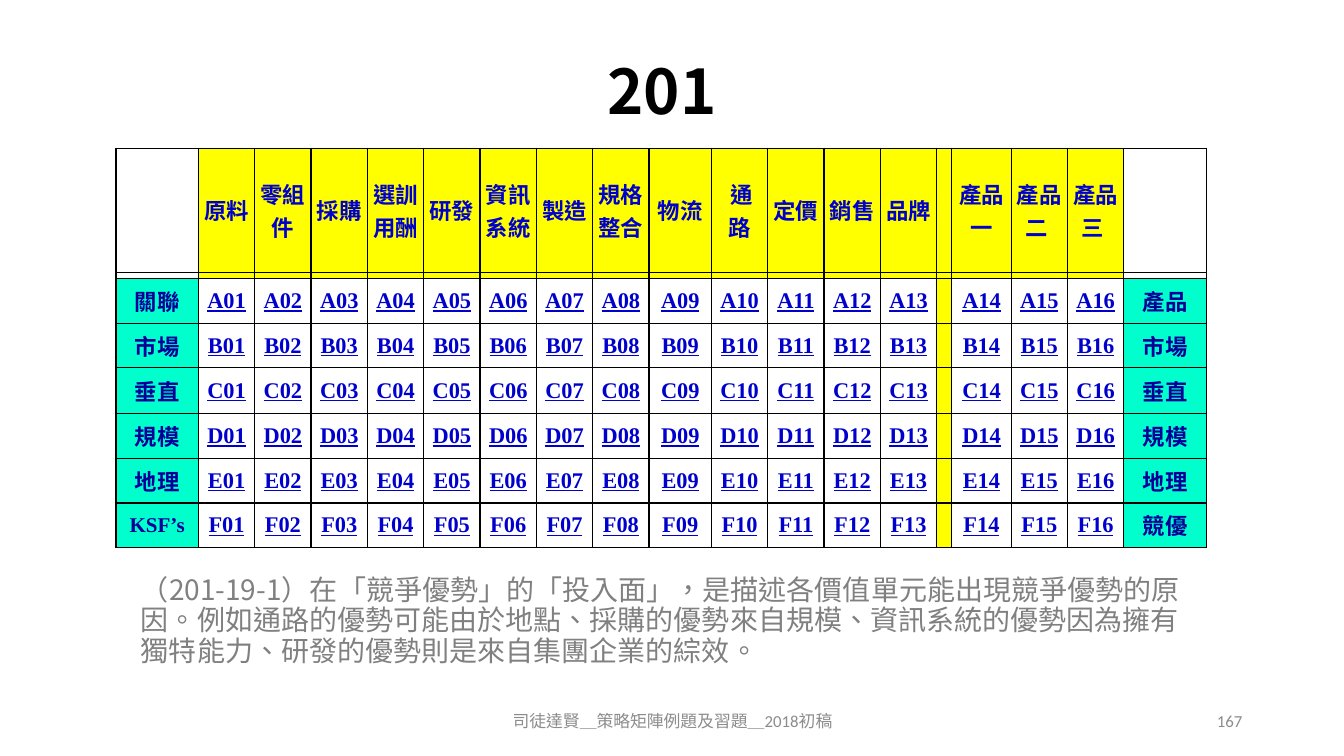
"""Build the value-unit by advantage matrix slide, 201."""
from lxml.etree import SubElement
from pptx import Presentation
from pptx.dml.color import RGBColor
from pptx.enum.text import MSO_ANCHOR as Anchor, PP_ALIGN as Align
from pptx.oxml.ns import qn
from pptx.util import Inches, Pt

COLORS = {"black": "000000", "yellow": "FFFF00", "mint": "00FFCC", "link": "0000CC",
          "label": "000099", "body": "808080", "footer": "8C8C8C"}
CJK_FONT = "Noto Sans CJK SC"


def add_run(paragraph, text, size, font, color, bold=False, underline=None):
    run = paragraph.add_run()
    run.text = text
    run.font.size = Pt(size)
    run.font.bold = bold
    run.font.underline = underline
    run.font.color.rgb = RGBColor.from_string(COLORS[color])
    run.font.name = font
    run.font._element.set("lang", "zh-TW")
    SubElement(run.font._element, qn("a:ea"), typeface=CJK_FONT)


def add_text(slide, box, text, size, font, color, align, anchor, spacing=1.0, bold=False):
    shape = slide.shapes.add_textbox(*[Inches(length) for length in box])
    frame = shape.text_frame
    frame.word_wrap = True
    frame.vertical_anchor = anchor
    paragraph = frame.paragraphs[0]
    paragraph.alignment = align
    paragraph.line_spacing = spacing
    add_run(paragraph, text, size, font, color, bold)


presentation = Presentation()
presentation.slide_width = Inches(13.33)
presentation.slide_height = Inches(7.5)
slide = presentation.slides.add_slide(presentation.slide_layouts[6])

add_text(slide, (0.92, 0.4, 11.29, 1.07), "201", 44, CJK_FONT, "black",
         Align.CENTER, Anchor.MIDDLE, 0.9, True)

headers = ["", "原料", "零組件", "採購", "選訓用酬", "研發", "資訊系統 ", "製造", "規格整合", "物流",
           " 通路", "定價", "銷售", "品牌", "", "產品一", "產品二 ", "產品三 ", ""]
advantages = [("關聯", "產品"), ("市場", "市場"), ("垂直", "垂直"),
              ("規模", "規模"), ("地理", "地理"), ("KSF’s", "競優")]
gap_column = 14
last_column = len(headers) - 1

rows = [headers, [""] * len(headers)]
for letter, (left_label, right_label) in zip("ABCDEF", advantages):
    codes = [f"{letter}{number:02d}" for number in range(1, 17)]
    rows.append([left_label, *codes[:13], "", *codes[13:], right_label])

table_width = 10.82
column_shares = [0.82] + [0.56] * 8 + [0.62] + [0.56] * 4 + [0.15, 0.59, 0.56, 0.56, 0.82]
row_heights = [1.23, 0.06, 0.45, 0.44, 0.45, 0.45, 0.44, 0.44]

table = slide.shapes.add_table(len(rows), len(headers), Inches(1.15), Inches(1.47),
                               Inches(table_width), Inches(sum(row_heights))).table
table.first_row = False
table.horz_banding = False
for column, share in zip(table.columns, column_shares):
    column.width = Inches(table_width * share / sum(column_shares))
for row, height in zip(table.rows, row_heights):
    row.height = Inches(height)

for row_index, texts in enumerate(rows):
    for column_index, text in enumerate(texts):
        cell = table.cell(row_index, column_index)
        cell.margin_left = cell.margin_right = Inches(0.05)
        cell.margin_top = cell.margin_bottom = 0
        cell.vertical_anchor = Anchor.MIDDLE
        properties = cell._tc.get_or_add_tcPr()
        for side in ("lnL", "lnR", "lnT", "lnB"):
            border = SubElement(properties, qn(f"a:{side}"), w=str(Pt(1)))
            border_fill = SubElement(border, qn("a:solidFill"))
            SubElement(border_fill, qn("a:srgbClr"), val=COLORS["black"])

        is_header = row_index < 2
        is_edge = column_index in (0, last_column)
        if is_edge and not is_header:
            fill = "mint"
        elif not is_edge and (is_header or column_index == gap_column):
            fill = "yellow"
        else:
            fill = None
        if fill:
            cell.fill.solid()
            cell.fill.fore_color.rgb = RGBColor.from_string(COLORS[fill])
        else:
            cell.fill.background()

        paragraph = cell.text_frame.paragraphs[0]
        paragraph.alignment = Align.CENTER
        if not text:
            SubElement(paragraph._p, qn("a:endParaRPr"), sz="100")
        elif is_header:
            properties.set("vert", "eaVert")
            add_run(paragraph, text, 16, "Calibri", "link", True)
        elif text == "KSF’s":
            add_run(paragraph, text, 15, "Times New Roman", "label", True)
        elif is_edge:
            add_run(paragraph, text, 16, "Calibri", "label", True)
        else:
            add_run(paragraph, text, 16, "Times New Roman", "link", True, True)

add_text(slide, (1.3, 5.67, 10.67, 1.01),
         "（201-19-1）在「競爭優勢」的「投入面」，是描述各價值單元能出現競爭優勢的原因。"
         "例如通路的優勢可能由於地點、採購的優勢來自規模、資訊系統的優勢因為擁有獨特能力、"
         "研發的優勢則是來自集團企業的綜效。",
         20, CJK_FONT, "body", Align.LEFT, Anchor.TOP, 0.9)
add_text(slide, (4.42, 6.95, 4.5, 0.4), "司徒達賢＿策略矩陣例題及習題＿2018初稿",
         12, "Calibri", "footer", Align.CENTER, Anchor.MIDDLE)
add_text(slide, (9.42, 6.95, 3, 0.4), "167", 12, "Calibri", "footer",
         Align.RIGHT, Anchor.MIDDLE)

presentation.save("out.pptx")
